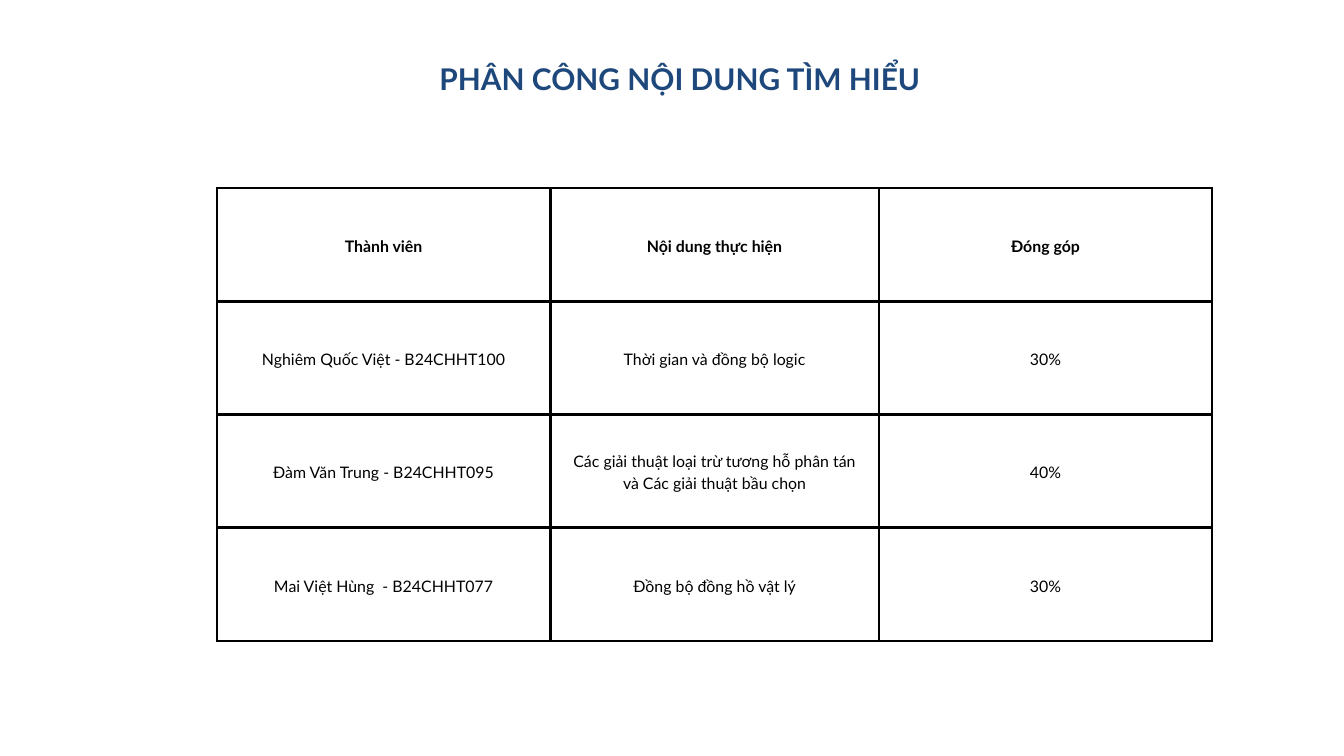
"""Build the slide that shares out the research topics among members."""
from dataclasses import dataclass

from lxml import etree
from pptx import Presentation
from pptx.dml.color import RGBColor
from pptx.enum.text import MSO_ANCHOR, MSO_AUTO_SIZE, PP_ALIGN
from pptx.oxml.ns import qn
from pptx.util import Cm, Pt

MIDDLE = MSO_ANCHOR.MIDDLE
CENTER = PP_ALIGN.CENTER
LEFT = PP_ALIGN.LEFT
GROW = MSO_AUTO_SIZE.SHAPE_TO_FIT_TEXT


@dataclass(frozen=True)
class Style:
    size: float
    lead: float
    color: str
    bold: bool
    align: PP_ALIGN


@dataclass(frozen=True)
class Theme:
    font: str = "Lato"
    rule: str = "000000"
    width: float = 3
    title: Style = Style(32, 44.8, "1E487C", True, LEFT)
    head: Style = Style(17, 23.8, "000000", True, CENTER)
    body: Style = Style(17, 23.8, "000000", False, CENTER)


@dataclass(frozen=True)
class Task:
    member: str
    topic: str
    share: str


THEME = Theme()
HEAD = Task("Thành viên", "Nội dung thực hiện", "Đóng góp")
TASKS = [
    Task("Nghiêm Quốc Việt - B24CHHT100", "Thời gian và đồng bộ logic", "30%"),
    Task("Đàm Văn Trung - B24CHHT095",
         "Các giải thuật loại trừ tương hỗ phân tán và Các giải thuật bầu chọn", "40%"),
    Task("Mai Việt Hùng  - B24CHHT077", "Đồng bộ đồng hồ vật lý", "30%"),
]
COLS = [12.6, 12.42, 12.6]
ROW = 4.28
PAD = 0.53


def write(frame, text: str, style: Style) -> None:
    """Put one styled paragraph into a text frame."""
    frame.text = text
    para = frame.paragraphs[0]
    para.alignment = style.align
    para.line_spacing = Pt(style.lead)
    font = para.runs[0].font
    font.name = THEME.font
    font.size = Pt(style.size)
    font.bold = style.bold
    font.color.rgb = RGBColor.from_string(style.color)


def border(cell) -> None:
    """Rule all four sides of a cell."""
    props = cell._tc.get_or_add_tcPr()
    for side in "LRTB":
        line = etree.SubElement(props, qn(f"a:ln{side}"), w=str(Pt(THEME.width)))
        fill = etree.SubElement(line, qn("a:solidFill"))
        etree.SubElement(fill, qn("a:srgbClr"), val=THEME.rule)


def fill_cell(cell, text: str, style: Style) -> None:
    """Set the text, padding, borders and fill of a cell."""
    write(cell.text_frame, text, style)
    cell.vertical_anchor = MIDDLE
    cell.margin_left = cell.margin_right = Cm(PAD)
    cell.margin_top = cell.margin_bottom = Cm(PAD)
    border(cell)
    cell.fill.background()


def add_tasks(slide, tasks: list[Task]) -> None:
    """Draw the table of tasks under its header row."""
    rows = [HEAD, *tasks]
    frame = slide.shapes.add_table(len(rows), len(COLS), Cm(8.2), Cm(7.11),
                                   Cm(sum(COLS)), Cm(ROW * len(rows)))
    table = frame.table
    table.first_row = table.horz_banding = False
    for col, width in zip(table.columns, COLS):
        col.width = Cm(width)
    for row, task in zip(table.rows, rows):
        row.height = Cm(ROW)
        style = THEME.head if task is HEAD else THEME.body
        for cell, text in zip(row.cells, (task.member, task.topic, task.share)):
            fill_cell(cell, text, style)


def add_title(slide, text: str) -> None:
    """Draw the slide title."""
    frame = slide.shapes.add_textbox(Cm(16.61), Cm(2.06), Cm(18.77), Cm(1.47)).text_frame
    frame.margin_left = frame.margin_right = 0
    frame.margin_top = frame.margin_bottom = 0
    frame.word_wrap = True
    frame.auto_size = GROW
    write(frame, text, THEME.title)


def main() -> None:
    """Build and save the deck."""
    deck = Presentation()
    deck.slide_width, deck.slide_height = Cm(50.8), Cm(28.58)
    slide = deck.slides.add_slide(deck.slide_layouts[6])
    add_tasks(slide, TASKS)
    add_title(slide, "PHÂN CÔNG NỘI DUNG TÌM HIỂU")
    deck.save("out.pptx")


if __name__ == "__main__":
    main()
